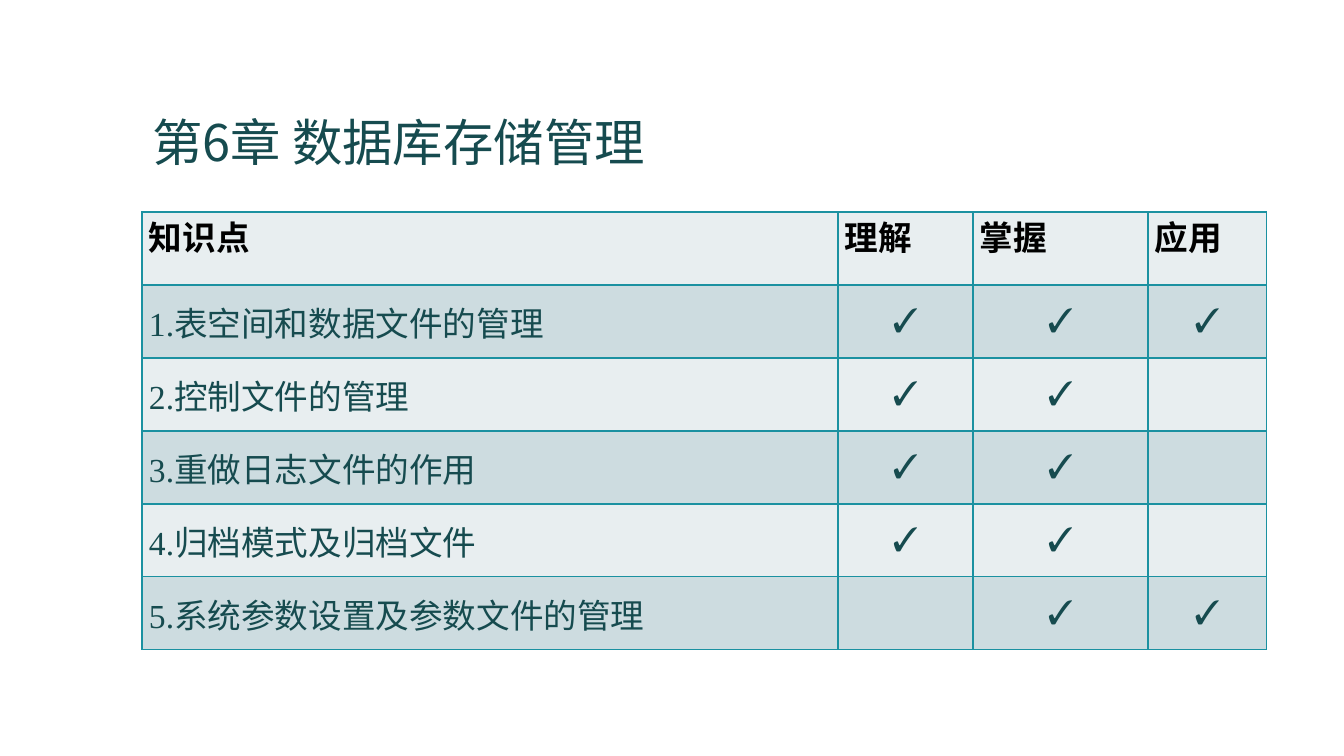
import pptx
import pptx.dml.color
import pptx.enum.text
import pptx.oxml.ns
import pptx.util
from lxml import etree

RGBColor = pptx.dml.color.RGBColor
PP_ALIGN = pptx.enum.text.PP_ALIGN
MSO_ANCHOR = pptx.enum.text.MSO_ANCHOR

TEAL = RGBColor(0x16, 0x4B, 0x4F)
BLACK = RGBColor(0x00, 0x00, 0x00)
BORDER = RGBColor(0x1B, 0x91, 0xA1)
LIGHT_BAND = RGBColor(0xE8, 0xEE, 0xF0)
DARK_BAND = RGBColor(0xCD, 0xDC, 0xE0)

SANS = "Noto Sans CJK SC"
SERIF = "Times New Roman"
EMU_PER_PX = 914400 / 100.8

TITLE = "第6章 数据库存储管理"
COLUMN_WIDTHS = [696, 135, 175, 119]
ROW_HEIGHT = 73
ROWS = [
    ["知识点", "理解", "掌握", "应用"],
    ["1.表空间和数据文件的管理", "✓", "✓", "✓"],
    ["2.控制文件的管理", "✓", "✓", ""],
    ["3.重做日志文件的作用", "✓", "✓", ""],
    ["4.归档模式及归档文件", "✓", "✓", ""],
    ["5.系统参数设置及参数文件的管理", "", "✓", "✓"],
]


def px(length):
    return pptx.util.Emu(round(length * EMU_PER_PX))


def format_spans(para, size, latin, color, bold=False):
    """Format every run, with the sans face for East Asian characters."""
    for span in para.runs:
        font = span.font
        font.size = pptx.util.Pt(size)
        font.name = latin
        font.bold = bold
        font.color.rgb = color
        east_asian = etree.SubElement(span._r.get_or_add_rPr(), pptx.oxml.ns.qn("a:ea"))
        east_asian.set("typeface", SANS)


def add_borders(cell):
    properties = cell._tc.get_or_add_tcPr()
    for side in ("lnL", "lnR", "lnT", "lnB"):
        line = etree.SubElement(properties, pptx.oxml.ns.qn(f"a:{side}"), w="12700")
        fill = etree.SubElement(line, pptx.oxml.ns.qn("a:solidFill"))
        etree.SubElement(fill, pptx.oxml.ns.qn("a:srgbClr"), val=str(BORDER))


def place_title(page, left, top, width, height):
    title = page.shapes.title
    title.left, title.top, title.width, title.height = map(px, (left, top, width, height))
    frame = title.text_frame
    frame.text = TITLE
    frame.word_wrap = True
    frame.vertical_anchor = MSO_ANCHOR.BOTTOM
    para = frame.paragraphs[0]
    para.alignment = PP_ALIGN.LEFT
    para.line_spacing = 0.9
    format_spans(para, 36, SANS, TEAL)


def fill_cell(cell, text, row, column):
    is_header = row == 0
    add_borders(cell)
    cell.fill.solid()
    cell.fill.fore_color.rgb = DARK_BAND if row % 2 else LIGHT_BAND
    cell.margin_left = cell.margin_right = px(7)
    cell.margin_top = cell.margin_bottom = px(0 if is_header else 4)
    cell.vertical_anchor = MSO_ANCHOR.TOP if is_header else MSO_ANCHOR.MIDDLE
    if not text:
        return
    cell.text_frame.text = text
    para = cell.text_frame.paragraphs[0]
    para.alignment = PP_ALIGN.LEFT if is_header or column == 0 else PP_ALIGN.CENTER
    if is_header:
        format_spans(para, 24, SANS, BLACK, bold=True)
    else:
        format_spans(para, 24, SERIF, TEAL)


def add_topic_table(page, left, top):
    width, height = sum(COLUMN_WIDTHS), ROW_HEIGHT * len(ROWS)
    table = page.shapes.add_table(
        len(ROWS), len(COLUMN_WIDTHS), px(left), px(top), px(width), px(height)
    ).table
    for column, column_width in zip(table.columns, COLUMN_WIDTHS):
        column.width = px(column_width)
    for row, texts in enumerate(ROWS):
        table.rows[row].height = px(ROW_HEIGHT)
        for column, text in enumerate(texts):
            fill_cell(table.cell(row, column), text, row, column)


def main():
    deck = pptx.Presentation()
    deck.slide_width, deck.slide_height = px(1344), px(756)
    page = deck.slides.add_slide(deck.slide_layouts.get_by_name("Title Only"))
    place_title(page, 142, 52, 1058, 126)
    add_topic_table(page, 142, 212)
    deck.save("out.pptx")


if __name__ == "__main__":
    main()
